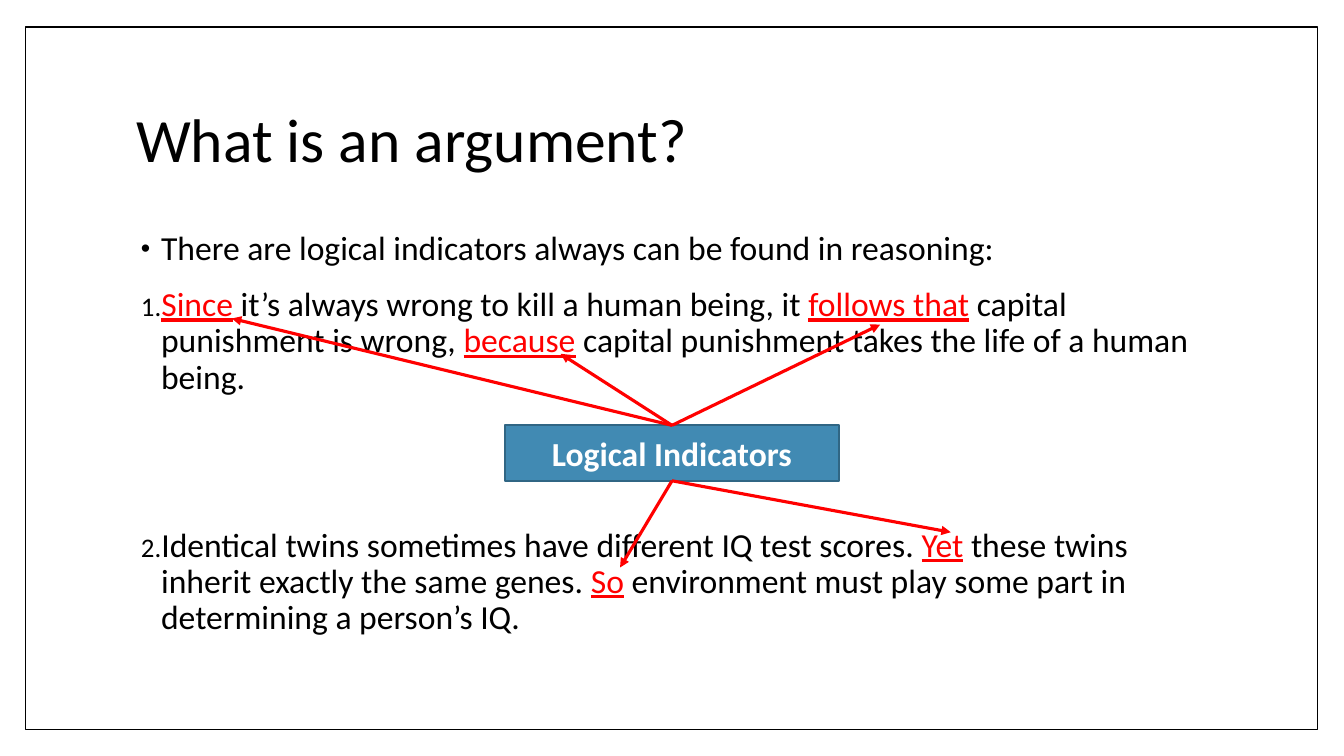
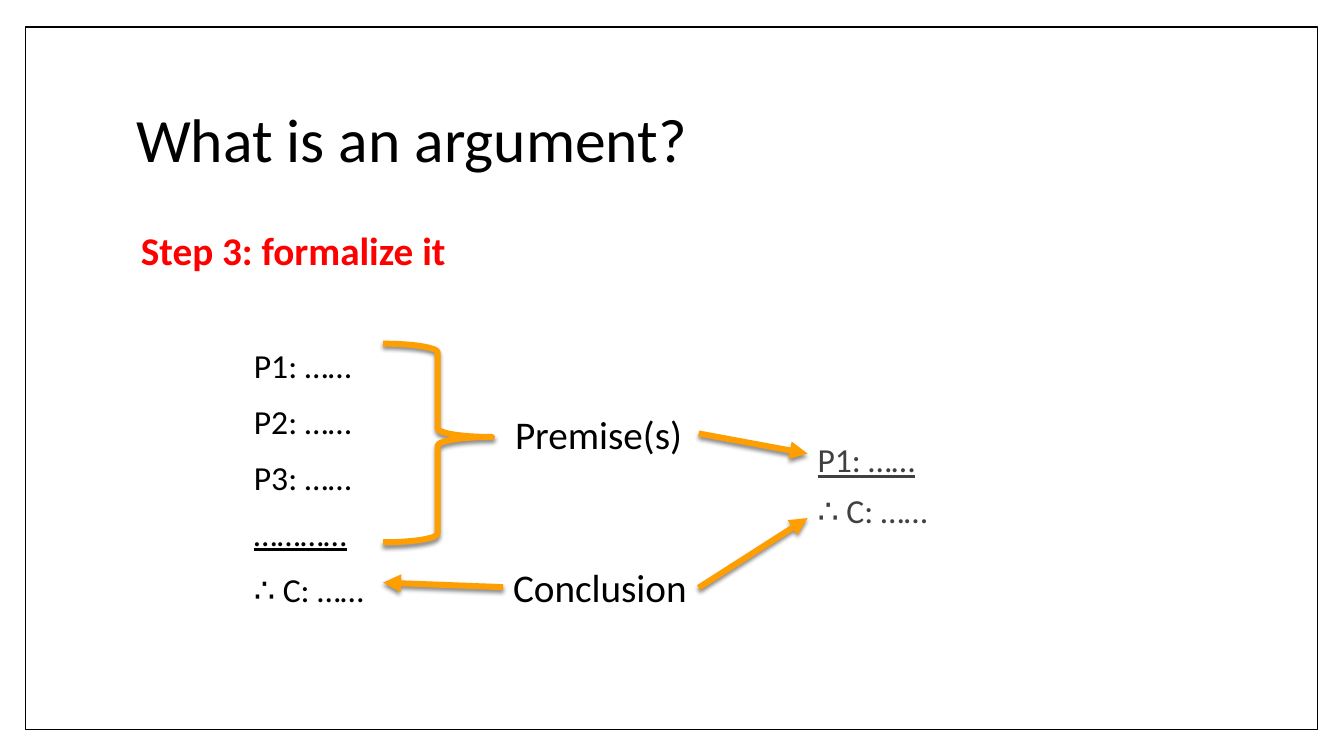
import dataclasses
import typing

import pptx
import pptx.dml.color
import pptx.enum.dml
import pptx.enum.shapes
import pptx.enum.text
import pptx.oxml.ns
import pptx.util
from lxml import etree

Inches = pptx.util.Inches
Pt = pptx.util.Pt
SHAPE = pptx.enum.shapes.MSO_SHAPE
ALIGN = pptx.enum.text.PP_ALIGN
ANCHOR = pptx.enum.text.MSO_ANCHOR
FIT = pptx.enum.text.MSO_AUTO_SIZE

FONT = "Calibri"
BLACK, WHITE, GREY = "000000", "FFFFFF", "404040"
RED, ORANGE, BLUE, NAVY = "FF0000", "FE9E00", "418AB3", "306684"
TOP, LEFT, BOTTOM = 0, 1, 2
TITLE = "What is an argument?"


@dataclasses.dataclass
class Box:
    left: float
    top: float
    width: float
    height: float

    def lengths(self) -> list:
        return [Inches(v) for v in (self.left, self.top, self.width, self.height)]


@dataclasses.dataclass
class Arrow:
    start: tuple[float, float]
    end: tuple[float, float]
    color: str
    weight: float
    source: typing.Any = None
    side: int = TOP
    shade: bool = False


@dataclasses.dataclass
class Item:
    """One paragraph; parts between underscores are marked as cues."""
    text: str
    before: float = 14
    bullet: str = ""


FRAME = Box(0.25, 0.27, 12.82, 6.97)
HEAD = Box(1.25, 0.67, 10.8, 1.48)
BODY = Box(1.25, 2.25, 10.8, 4.42)


def rgb(code: str) -> pptx.dml.color.RGBColor:
    return pptx.dml.color.RGBColor.from_string(code)


def node(parent, tag: str, **attrs: str):
    return etree.SubElement(parent, pptx.oxml.ns.qn(tag), attrs)


def write(par, text: str, size: float = 24, color: str = BLACK,
          bold: bool = False, under: bool = False) -> None:
    run = par.add_run()
    run.text = text
    font = run.font
    font.name, font.size, font.bold, font.underline = FONT, Pt(size), bold, under
    font.color.rgb = rgb(color)


def space(par, before: float = 0, line: float = 0.9) -> None:
    par.line_spacing = line
    par.space_before = Pt(before)


def indent(par, left: float, first: float = 0) -> None:
    props = par._p.get_or_add_pPr()
    props.set("marL", str(Inches(left)))
    props.set("indent", str(Inches(first)))


def mark(par, bullet: str) -> None:
    """Give a paragraph a bullet sign, or a number when the sign is '1.'."""
    props = par._p.get_or_add_pPr()
    node(node(props, "a:buClr"), "a:srgbClr", val=BLACK)
    node(props, "a:buSzPct", val="80000")
    if bullet == "1.":
        node(props, "a:buFont", typeface=FONT)
        node(props, "a:buAutoNum", type="arabicPeriod")
    else:
        node(props, "a:buFont", typeface="Arial")
        node(props, "a:buChar", char=bullet)


def add_par(frame, first: bool):
    return frame.paragraphs[0] if first else frame.add_paragraph()


def add_box(slide, box: Box):
    shape = slide.shapes.add_textbox(*box.lengths())
    shape.text_frame.word_wrap = True
    return shape


def shadow(shape, shade: bool) -> None:
    """Clear the theme shadow and, if asked, add a soft one below."""
    props = shape._element.spPr
    effects = props.find(pptx.oxml.ns.qn("a:effectLst"))
    if effects is None:
        effects = node(props, "a:effectLst")
    if shade:
        outer = node(effects, "a:outerShdw", blurRad=str(Pt(3)), dist=str(Pt(2)),
                     dir="5400000", rotWithShape="0")
        node(node(outer, "a:srgbClr", val=BLACK), "a:alpha", val="45000")


def add_shape(slide, kind, box: Box, line: str, weight: float, fill: str = ""):
    shape = slide.shapes.add_shape(kind, *box.lengths())
    shape.shadow.inherit = False
    if fill:
        shape.fill.solid()
        shape.fill.fore_color.rgb = rgb(fill)
    else:
        shape.fill.background()
    shape.line.color.rgb = rgb(line)
    shape.line.width = Pt(weight)
    return shape


def add_arrow(slide, arrow: Arrow) -> None:
    ends = [Inches(v) for v in (*arrow.start, *arrow.end)]
    link = slide.shapes.add_connector(pptx.enum.shapes.MSO_CONNECTOR.STRAIGHT, *ends)
    if arrow.source is not None:
        link.begin_connect(arrow.source, arrow.side)
    link.line.color.rgb = rgb(arrow.color)
    link.line.width = Pt(arrow.weight)
    node(link.line._get_or_add_ln(), "a:tailEnd", type="triangle")
    shadow(link, arrow.shade)


def add_slide(deck):
    """Start a slide with the shared frame and title."""
    slide = deck.slides.add_slide(deck.slide_layouts[5])
    add_shape(slide, SHAPE.RECTANGLE, FRAME, BLACK, 1)
    title = slide.shapes.title
    title.left, title.top, title.width, title.height = HEAD.lengths()
    frame = title.text_frame
    frame.word_wrap = True
    frame.auto_size = FIT.NONE
    frame.vertical_anchor = ANCHOR.MIDDLE
    par = frame.paragraphs[0]
    par.alignment = ALIGN.LEFT
    space(par)
    write(par, TITLE, size=44)
    return slide


def cue_slide(deck) -> None:
    slide = add_slide(deck)

    # Examples with their cue words
    items = [
        Item("There are logical indicators always can be found in reasoning:", 0, "•"),
        Item("_Since_ it’s always wrong to kill a human being, it _follows that_ "
             "capital punishment is wrong, _because_ capital punishment takes "
             "the life of a human being.", bullet="1."),
        Item("Identical twins sometimes have different IQ test scores. _Yet_ these "
             "twins inherit exactly the same genes. _So_ environment must play "
             "some part in determining a person’s IQ.", 94, "1."),
    ]
    frame = add_box(slide, BODY).text_frame
    for i, item in enumerate(items):
        par = add_par(frame, i == 0)
        space(par, item.before)
        indent(par, 0.25, -0.2)
        mark(par, item.bullet)
        for j, part in enumerate(item.text.split("_")):
            cue = j % 2 == 1
            if part:
                write(par, part, color=RED if cue else BLACK, under=cue)

    # Label and its arrows to the cue words
    spot = Box(5.01, 4.22, 3.31, 0.55)
    label = add_shape(slide, SHAPE.RECTANGLE, spot, NAVY, 1.5, BLUE)
    label.text_frame.vertical_anchor = ANCHOR.MIDDLE
    par = label.text_frame.paragraphs[0]
    par.alignment = ALIGN.CENTER
    write(par, "Logical Indicators", color=WHITE, bold=True)
    mid = spot.left + spot.width / 2
    goals = {
        TOP: [(5.56, 3.51), (2.3, 3.16), (8.73, 3.22)],
        BOTTOM: [(9.43, 5.28), (6.15, 5.63)],
    }
    for side, ends in goals.items():
        edge = spot.top + (spot.height if side == BOTTOM else 0)
        for end in ends:
            add_arrow(slide, Arrow((mid, edge), end, RED, 2.25, label, side))


def form_slide(deck) -> None:
    slide = add_slide(deck)

    # Step and the long form
    frame = add_box(slide, BODY).text_frame
    par = frame.paragraphs[0]
    space(par)
    indent(par, 0.05)
    write(par, "Step 3: formalize it", size=28, color=RED, bold=True)
    rule = "…………"
    items = [Item("P1: ……", 54), Item("P2: ……"), Item("P3: ……"),
             Item(rule), Item("∴ C: ……")]
    for item in items:
        par = frame.add_paragraph()
        space(par, item.before)
        indent(par, 1.17)
        write(par, item.text, under=item.text == rule)

    # Short form
    frame = add_box(slide, Box(8.01, 4.31, 2.68, 1)).text_frame
    for i, text in enumerate(("P1: ……", "∴ C: ……")):
        par = add_par(frame, i == 0)
        space(par, 7.5 * i, 1)
        write(par, text, color=GREY, under=i == 0)

    # Names of the parts
    names = {}
    for text, left, top in (("Premise(s)", 5.01, 4.02), ("Conclusion", 4.99, 5.54)):
        names[text] = add_box(slide, Box(left, top, 2.44, 0.57))
        names[text].text_frame.auto_size = FIT.SHAPE_TO_FIT_TEXT
        write(names[text].text_frame.paragraphs[0], text, size=28)

    # Brace and arrows
    brace = add_shape(slide, SHAPE.RIGHT_BRACE, Box(3.8, 3.41, 1.08, 1.97), ORANGE, 4.25)
    brace.adjustments[0], brace.adjustments[1] = 0.08, 0.47
    shadow(brace, True)
    for start, end, source in (
        ((6.93, 4.3), (8.01, 4.5), None),
        ((4.99, 5.83), (3.8, 5.78), names["Conclusion"]),
        ((6.93, 5.83), (8.01, 5.14), None),
    ):
        add_arrow(slide, Arrow(start, end, ORANGE, 4.25, source, LEFT, True))


def main() -> None:
    deck = pptx.Presentation()
    deck.slide_width, deck.slide_height = Inches(13.33), Inches(7.5)
    cue_slide(deck)
    form_slide(deck)
    deck.save("out.pptx")


if __name__ == "__main__":
    main()
